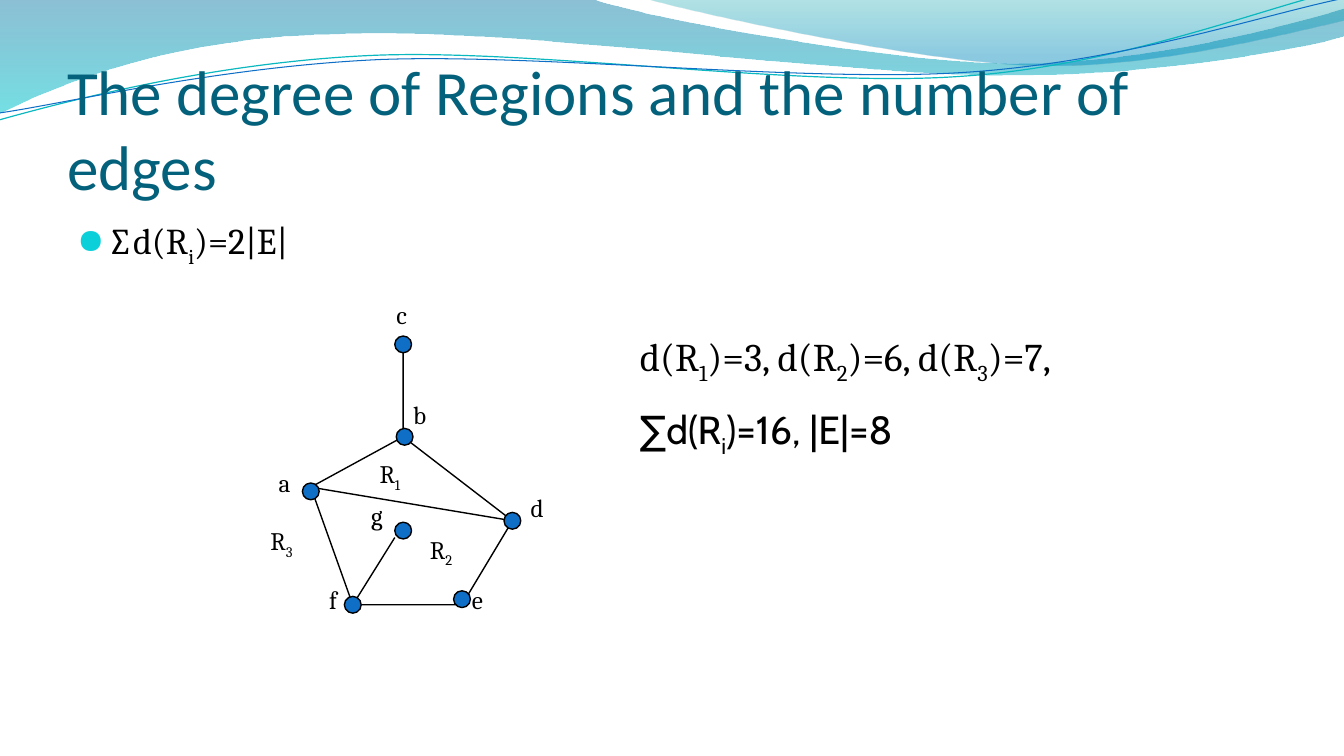
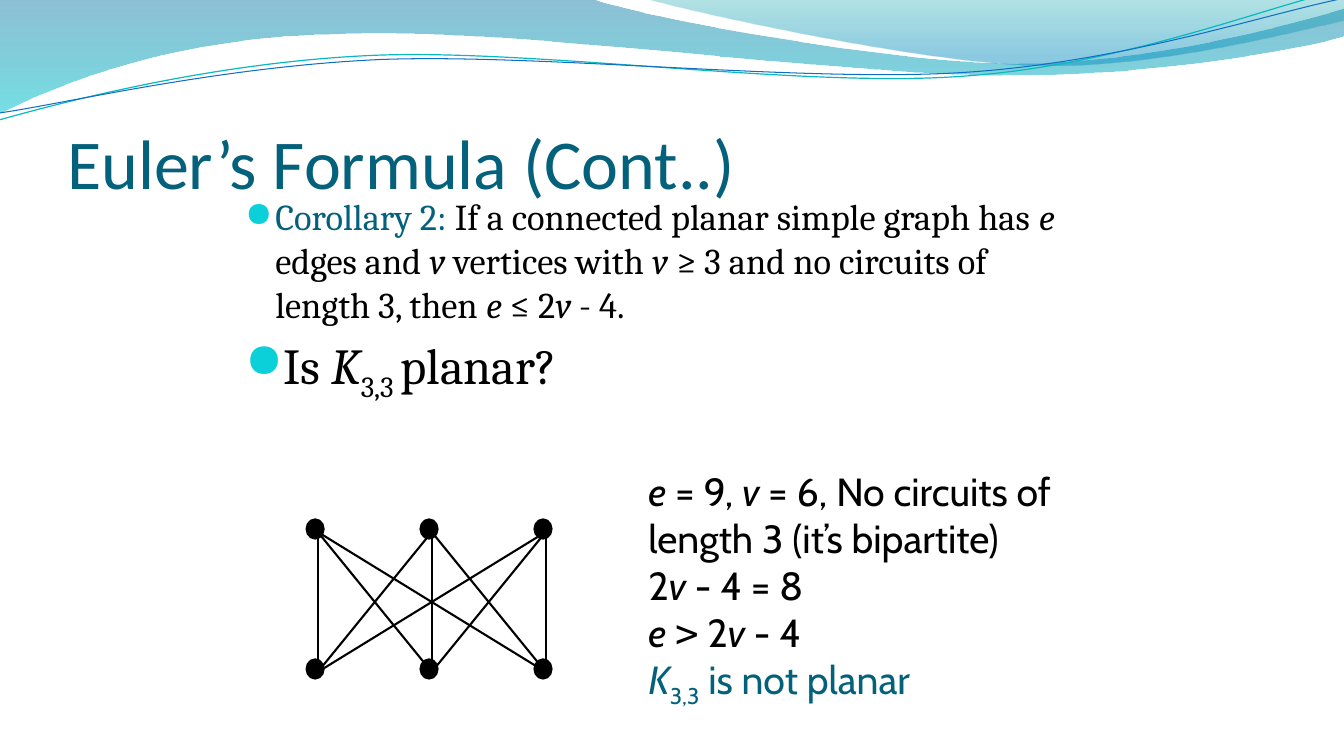
from itertools import product

from lxml import etree
from pptx import Presentation
from pptx.dml.color import RGBColor
from pptx.enum.shapes import MSO_CONNECTOR, MSO_SHAPE
from pptx.enum.text import MSO_ANCHOR, MSO_AUTO_SIZE, PP_ALIGN
from pptx.oxml.ns import qn
from pptx.util import Pt

STRAIGHT = MSO_CONNECTOR.STRAIGHT
OVAL = MSO_SHAPE.OVAL
TITLE_ONLY = 5

COLORS = {
    "title": "04617B", "text": "000000", "bullet": "0BD0D9", "vertex": "0F6FC6",
    "wave_teal": "0AB8BF", "wave_blue": "0F6FC6",
    "band_blue": "0074A1", "band_cyan": "00C6CF",
    "crest_green": "00A1A9", "crest_blue": "008BBF",
}
TITLE_BOX = (48, 55.4, 864, 90)

# Header outlines: a step of one point is a line, of three points a Bézier curve.
BANDS = [
    {"start": (0, 0),
     "steps": [[(422.6, -0.7)],
               [(456.5, 12.2), (637.2, 45.4), (727.9, 45.4)],
               [(819.4, 45.4), (920.2, 18.7), (960, 6.5)],
               [(961.2, 25.9)],
               [(943.9, 31.7), (835.2, 54.7), (715.7, 54)],
               [(596.9, 54), (366.5, 20.2), (247, 24.5)],
               [(123.8, 25.9), (43.9, 59.8), (-0.7, 81.4)]],
     "stops": [(0, "band_blue", 45), (1, "band_cyan", 55)]},
    {"start": (460, -0.7),
     "steps": [[(489, 8), (654.5, 44.6), (738, 46.8)],
               [(821.5, 49.7), (923, 23), (960, 15)],
               [(960, 0)]],
     "stops": [(0, "crest_green", 30), (0.8, "crest_blue", 45)]},
]
WAVES = [
    {"start": (-0.7, 85.7), "color": "wave_teal", "width": 0.85,
     "steps": [[(46, 72.7), (152, 44.6), (265.7, 39.6)],
               [(379.4, 34.6), (568.8, 62.6), (684, 54.7)],
               [(799.2, 47.5), (901.4, 5.8), (958.3, -7.2)]]},
    {"start": (0, 80.6), "color": "wave_blue", "width": 0.75,
     "steps": [[(45.4, 74.2), (157, 47.5), (272.2, 42.5)],
               [(386.6, 38.2), (573.1, 59), (687.6, 51.8)],
               [(802.8, 44.6), (903.6, 10.1), (960.5, -1.4)]]},
]

SUB = {"baseline": -25000}
ITALIC = {"italic": True}
TEAL = {"color": "title"}
MONO = {"name": "DejaVu Sans Mono"}
SERIF = {"name": "Cambria"}

# A paragraph is its runs, each a text with its format, and its own settings.
DEGREE_RULE = [
    {"runs": [("∑d(R",), ("i", SUB), (")=2|E|",)], "bullet": True},
]
DEGREES = [
    {"runs": [("d(R",), ("1", SUB), (")=3, d(R",), ("2", SUB), (")=6, d(R",),
              ("3", SUB), (")=7,",)], "font": SERIF},
    {"runs": [("∑d(R",), ("i", SUB), (")=16, |E|=8",)], "before": 14},
]
COROLLARY = [
    {"runs": [("Corollary 2:", TEAL), (" If a connected planar simple graph has ",),
              ("e", ITALIC), (" edges and ",), ("v", ITALIC), (" vertices with ",),
              ("v ", ITALIC), ("≥ 3 and no circuits of length 3, then ",),
              ("e", ITALIC), (" ≤ 2",), ("v", ITALIC), (" - 4.",)], "bullet": True},
    {"runs": [("Is ",), ("K", ITALIC), ("3,3 ", SUB), ("planar?",)], "bullet": True,
     "font": {"size": 36}, "before": 7, "spacing": 0.9},
]
PROOF = [
    {"runs": [("e", ITALIC), (" = 9, ",), ("v", ITALIC),
              (" = 6, No circuits of length 3 (it’s bipartite)",)]},
    {"runs": [("2",), ("v", ITALIC), (" - 4 = 8",)]},
    {"runs": [("e ", ITALIC), (">", MONO), (" 2",), ("v", ITALIC), (" - 4",)]},
    {"runs": [("K", ITALIC), ("3,3", SUB), (" is not planar",)], "font": TEAL},
]

# Vertex: where edges meet, top left of its dot, top left of its label.
VERTICES = {
    "c": ((288, 240), (282, 240), (276, 210)),
    "a": ((222, 348), (216, 345), (192, 330)),
    "f": ((252, 432), (246, 426), (228, 414)),
    "e": ((330, 432), (324, 422), (330, 414)),
    "b": ((288, 312), (283, 306), (288, 282)),
    "d": ((366, 372), (360, 366), (372, 348)),
    "g": ((282, 384), (282, 373), (258, 354)),
}
EDGE_WALK = "cbafedbad"
REGIONS = {"1": (264, 324), "2": (300, 378), "3": (186, 372)}

COLUMN_LEFTS = [219 + 81.4 * column for column in range(3)]
ROW_TOPS = (371, 471)
EDGE_OFFSET = (8, 9)


def rgb(name):
    return RGBColor.from_string(COLORS[name])


def points(values):
    return [Pt(value) for value in values]


def add_outline(slide, start, steps, close=False):
    """Draw a freeform; each step of three points becomes one Bézier curve."""
    builder = slide.shapes.build_freeform(*points(start))
    builder.add_line_segments([points(point) for step in steps for point in step], close=close)
    shape = builder.convert_to_shape()
    shape.shadow.inherit = False
    segments = iter(list(shape.element.iter(qn("a:lnTo"))))
    for step in steps:
        lines = [next(segments) for _ in step]
        if len(lines) == 3:
            curve = etree.Element(qn("a:cubicBezTo"))
            lines[0].addprevious(curve)
            for line in lines:
                curve.append(line[0])
                line.getparent().remove(line)
    return shape


def stroke(shape, color, width):
    shape.line.color.rgb = rgb(color)
    shape.line.width = Pt(width)


def add_line(shapes, start, end, width):
    line = shapes.add_connector(STRAIGHT, *points(start + end))
    stroke(line, "text", width)
    etree.SubElement(line.element.spPr, qn("a:effectLst"))


def add_dot(shapes, corner, size, color, width):
    dot = shapes.add_shape(OVAL, *points(corner + size))
    dot.shadow.inherit = False
    dot.fill.solid()
    dot.fill.fore_color.rgb = rgb(color)
    stroke(dot, "text", width)


def add_header(slide, layout):
    """Draw the bands and waves, then move them to the back of the layout."""
    header = []
    for band in BANDS:
        shape = add_outline(slide, band["start"], band["steps"], close=True)
        shape.line.fill.background()
        shape.fill.gradient()
        shape.fill.gradient_angle = 270
        for stop, (position, color, _) in zip(shape.fill.gradient_stops, band["stops"]):
            stop.position = position
            stop.color.rgb = rgb(color)
        for element, (*_, alpha) in zip(shape.element.spPr.iter(qn("a:srgbClr")), band["stops"]):
            etree.SubElement(element, qn("a:alpha"), val=str(alpha * 1000))
        header.append(shape)
    for wave in WAVES:
        shape = add_outline(slide, wave["start"], wave["steps"])
        shape.fill.background()
        stroke(shape, wave["color"], wave["width"])
        header.append(shape)
    for index, shape in enumerate(header, start=2):
        layout.shapes.element.insert(index, shape.element)


def add_bullet(paragraph):
    properties = paragraph._p.get_or_add_pPr()
    properties.set("marL", str(Pt(21.6)))
    properties.set("indent", str(-Pt(21.6)))
    color = etree.SubElement(properties, qn("a:buClr"))
    etree.SubElement(color, qn("a:srgbClr"), val=COLORS["bullet"])
    etree.SubElement(properties, qn("a:buSzPct"), val="95000")
    etree.SubElement(properties, qn("a:buFont"), typeface="OpenSymbol")
    etree.SubElement(properties, qn("a:buChar"), char="●")


def add_run(paragraph, text, formats):
    run = paragraph.add_run()
    run.text = text
    for key, value in formats.items():
        if key == "color":
            run.font.color.rgb = rgb(value)
        elif key == "baseline":
            run._r.get_or_add_rPr().set("baseline", str(value))
        else:
            setattr(run.font, key, Pt(value) if key == "size" else value)


def add_text(slide, box, paragraphs, name, size):
    frame = slide.shapes.add_textbox(*points(box)).text_frame
    frame.word_wrap = True
    for index, content in enumerate(paragraphs):
        paragraph = frame.add_paragraph() if index else frame.paragraphs[0]
        if content.get("bullet"):
            add_bullet(paragraph)
        if "before" in content:
            paragraph.space_before = Pt(content["before"])
        if "spacing" in content:
            paragraph.line_spacing = content["spacing"]
        base = {"name": name, "size": size, "color": "text", **content.get("font", {})}
        for text, *formats in content["runs"]:
            add_run(paragraph, text, {**base, **(formats[0] if formats else {})})


def set_title(slide, text, size):
    title = slide.shapes.title
    title.left, title.top, title.width, title.height = points(TITLE_BOX)
    frame = title.text_frame
    frame_format = {"margin_left": 0, "margin_top": Pt(3.6), "margin_right": 0,
                    "margin_bottom": 0, "word_wrap": True,
                    "auto_size": MSO_AUTO_SIZE.NONE,
                    "vertical_anchor": MSO_ANCHOR.BOTTOM}
    for key, value in frame_format.items():
        setattr(frame, key, value)
    paragraph = frame.paragraphs[0]
    paragraph.alignment = PP_ALIGN.LEFT
    add_run(paragraph, text, {"name": "Calibri", "size": size, "color": "title"})


def draw_planar_graph(slide):
    start, *rest = [VERTICES[name][0] for name in EDGE_WALK]
    walk = add_outline(slide, start, [[point] for point in rest])
    walk.fill.background()
    stroke(walk, "text", 1)
    add_line(slide.shapes, VERTICES["f"][0], VERTICES["g"][0], 1)
    for name, (_, dot, label) in VERTICES.items():
        add_dot(slide.shapes, dot, (12, 12), "vertex", 1)
        add_text(slide, label + (42, 29), [{"runs": [(name,)]}], "Cambria", 18)
    for number, corner in REGIONS.items():
        add_text(slide, corner + (60, 29), [{"runs": [("R",), (number, SUB)]}], "Cambria", 18)


def draw_bipartite_graph(slide):
    shapes = slide.shapes.add_group_shape().shapes
    for top, left in product(ROW_TOPS, COLUMN_LEFTS):
        add_dot(shapes, (left, top), (12.2, 13.7), "text", 1.5)
    dx, dy = EDGE_OFFSET
    upper, lower = [[(left + dx, top + dy) for left in COLUMN_LEFTS] for top in ROW_TOPS]
    for start, end in product(upper, lower):
        add_line(shapes, start, end, 1.5)


def main():
    presentation = Presentation()
    presentation.slide_width, presentation.slide_height = Pt(960), Pt(540)
    layout = presentation.slide_layouts[TITLE_ONLY]

    slide = presentation.slides.add_slide(layout)
    add_header(slide, layout)
    set_title(slide, "The degree of Regions and the number of edges", 45)
    add_text(slide, (48, 152.6, 864, 345.6), DEGREE_RULE, "Cambria", 26)
    draw_planar_graph(slide)
    add_text(slide, (450, 234, 336, 91.4), DEGREES, "Cabin", 28)

    slide = presentation.slides.add_slide(layout)
    set_title(slide, "Euler’s Formula (Cont..)", 50)
    add_text(slide, (168, 135.4, 612, 216.7), COROLLARY, "Cambria", 26)
    draw_bipartite_graph(slide)
    add_text(slide, (456, 330, 362, 175.7), PROOF, "Cabin", 28)

    presentation.save("out.pptx")


if __name__ == "__main__":
    main()
